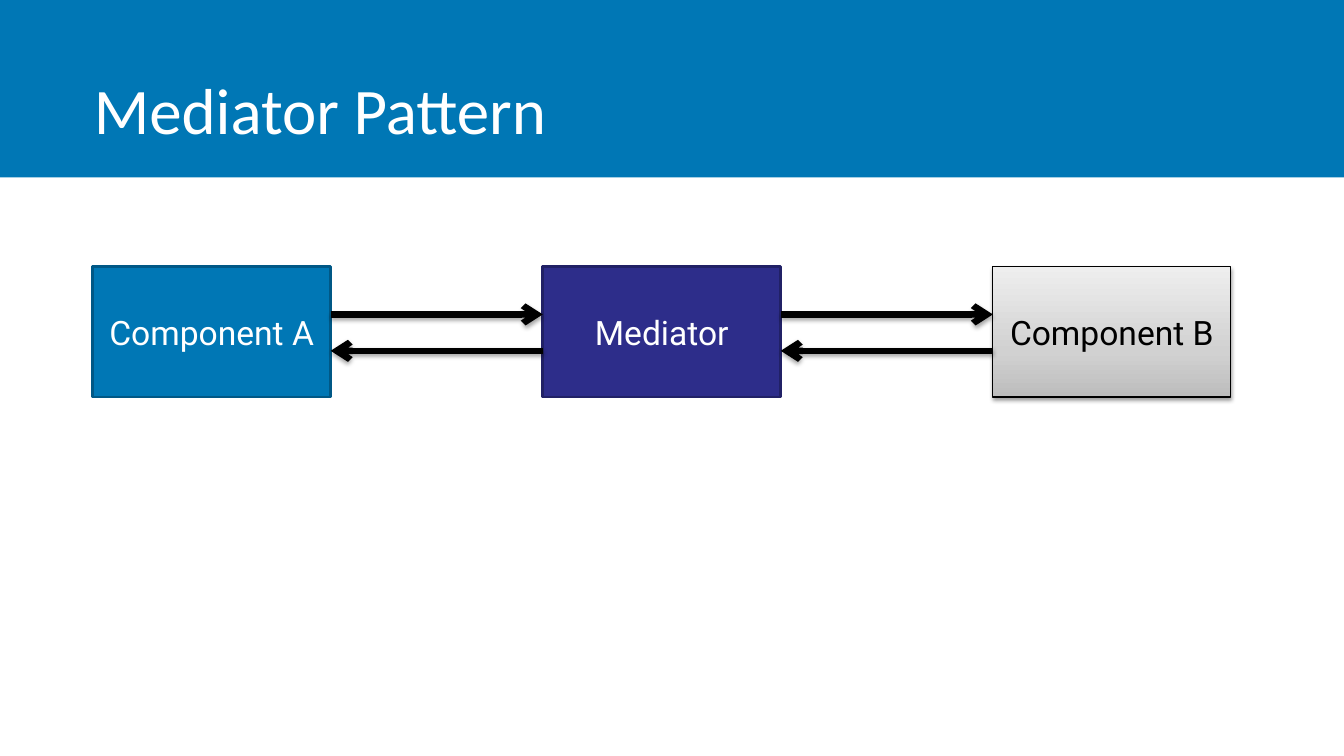
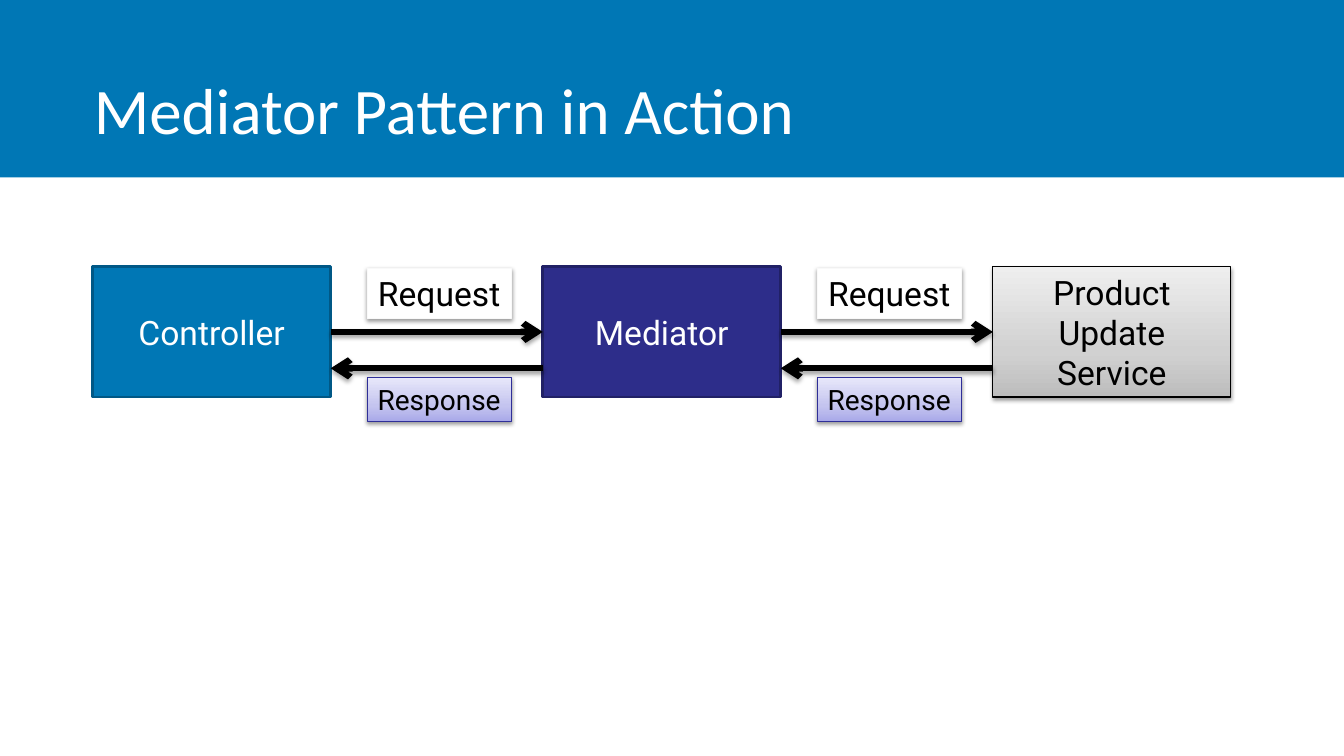
from copy import deepcopy

from lxml import etree
from pptx import Presentation
from pptx import util as u
from pptx.dml import color
from pptx.enum import shapes, text
from pptx.oxml import ns

Pt = u.Pt

SLIDE_WIDTH, SLIDE_HEIGHT = 960, 540
BAND_HEIGHT = 126.7
TITLE_BOX = (67, 38.2, 826, 75.6)
DIAGRAM_LEFT, DIAGRAM_TOP = 66.2, 190.6
BOX_WIDTH, BOX_HEIGHT, BOX_PITCH = 170, 93, 321.5
LABEL_WIDTH, LABEL_INSET = 103, 26
RESPONSE_DROP = 26

BLUE, WHITE, BLACK = "0077B5", "FFFFFF", "000000"
GREY_SHADES = ("BDBDBD", "D1D1D1", "EEEEEE")
LILAC_SHADES = ("A9A9E9", "C4C4EF", "E8E8FA")
SHADE_POSITIONS = (0, 0.35, 1)

BOX_STYLES = [
    dict(fill=BLUE, line="005886", weight=2, font_color=WHITE),
    dict(fill="2D2D8A", line="212166", weight=2, font_color=WHITE),
    dict(fill=GREY_SHADES, line=BLACK, weight=0.75, font_color=BLACK, shadow=True),
]
REQUEST_STYLE = dict(fill=WHITE, line="F9F9F9", weight=0.75, font_color=BLACK, shadow=True)
RESPONSE_STYLE = dict(fill=LILAC_SHADES, line="2F2F98", weight=0.75, font_color=BLACK,
                      size=20, shadow=True)


def rgb(value):
    return color.RGBColor.from_string(value)


def write_text(shape, words, size=24, font="Roboto", font_color=BLACK,
               align=text.PP_ALIGN.CENTER, anchor=text.MSO_ANCHOR.MIDDLE,
               spacing=None, inset=None, wrap=True):
    frame = shape.text_frame
    frame.word_wrap = wrap
    frame.vertical_anchor = anchor
    if inset is not None:
        frame.margin_left = frame.margin_right = Pt(inset)
        frame.margin_top = frame.margin_bottom = Pt(inset)
    paragraph = frame.paragraphs[0]
    paragraph.alignment = align
    paragraph.line_spacing = spacing
    run = paragraph.add_run()
    run.text = words
    run.font.size = Pt(size)
    run.font.name = font
    run.font.color.rgb = rgb(font_color)


def set_effects(shape, shadow, distance=1.6, opacity=38):
    effects = etree.SubElement(shape._element.spPr, ns.qn("a:effectLst"))
    if shadow:
        outer = etree.SubElement(effects, ns.qn("a:outerShdw"), blurRad=str(Pt(3.1)),
                                 dist=str(Pt(distance)), dir="5400000", rotWithShape="0")
        shade = etree.SubElement(outer, ns.qn("a:srgbClr"), val=BLACK)
        etree.SubElement(shade, ns.qn("a:alpha"), val=str(opacity * 1000))


def fill_gradient(shape, shades):
    shape.fill.gradient()
    shape.fill.gradient_angle = 90
    stops = shape._element.spPr.find(ns.qn("a:gradFill")).find(ns.qn("a:gsLst"))
    stops.append(deepcopy(stops[0]))
    for stop, shade, position in zip(shape.fill.gradient_stops, shades, SHADE_POSITIONS):
        stop.color.rgb = rgb(shade)
        stop.position = position


def add_box(slide, left, top, width, height, fill, line=None, weight=0.75, shadow=False):
    shape = slide.shapes.add_shape(shapes.MSO_SHAPE.RECTANGLE,
                                   Pt(left), Pt(top), Pt(width), Pt(height))
    if isinstance(fill, str):
        shape.fill.solid()
        shape.fill.fore_color.rgb = rgb(fill)
    else:
        fill_gradient(shape, fill)
    if line:
        shape.line.color.rgb = rgb(line)
        shape.line.width = Pt(weight)
    else:
        shape.line.fill.background()
    set_effects(shape, shadow)
    return shape


def add_text_box(slide, box, words, style, **text_format):
    style = dict(style)
    font_color, size = style.pop("font_color"), style.pop("size", 24)
    shape = add_box(slide, *box, **style)
    write_text(shape, words, size=size, font_color=font_color, **text_format)
    return shape


def add_arrow(slide, start, end, y):
    arrow = slide.shapes.add_connector(shapes.MSO_CONNECTOR.STRAIGHT,
                                       Pt(start), Pt(y), Pt(end), Pt(y))
    arrow.line.color.rgb = rgb(BLACK)
    arrow.line.width = Pt(4.5)
    etree.SubElement(arrow._element.spPr.find(ns.qn("a:ln")), ns.qn("a:tailEnd"), type="arrow")
    set_effects(arrow, True, distance=1.8, opacity=35)
    return arrow


def add_header(slide, title):
    add_box(slide, 0, 0, SLIDE_WIDTH, BAND_HEIGHT, BLUE)
    title_box = slide.shapes.add_textbox(*map(Pt, TITLE_BOX))
    write_text(title_box, title, size=46.4, font="Calibri", font_color=WHITE,
               align=text.PP_ALIGN.LEFT, anchor=text.MSO_ANCHOR.TOP, spacing=1.2, inset=0)


def add_exchange(slide, source, target, left, top, request_y, labelled):
    right = left + BOX_PITCH - BOX_WIDTH
    request = add_arrow(slide, left, right, top + request_y)
    if request_y == BOX_HEIGHT / 2:
        request.begin_connect(source, 3)
        request.end_connect(target, 1)
    add_arrow(slide, right, left, top + request_y + RESPONSE_DROP)
    if labelled:
        label_left = left + LABEL_INSET
        add_text_box(slide, (label_left, top + 1, LABEL_WIDTH, 36), "Request",
                     REQUEST_STYLE, wrap=False)
        add_text_box(slide, (label_left, top + 78.8, LABEL_WIDTH, 31.5), "Response",
                     RESPONSE_STYLE, wrap=False)


def add_diagram(slide, left, top, names, request_y, labelled):
    boxes = [
        add_text_box(slide, (left + index * BOX_PITCH, top, BOX_WIDTH, BOX_HEIGHT), name, style)
        for index, (name, style) in enumerate(zip(names, BOX_STYLES))
    ]
    for index, (source, target) in enumerate(zip(boxes, boxes[1:])):
        gap_left = left + index * BOX_PITCH + BOX_WIDTH
        add_exchange(slide, source, target, gap_left, top, request_y, labelled)


def add_pattern_slide(presentation, title, names, request_y, labelled=False):
    slide = presentation.slides.add_slide(presentation.slide_layouts[6])
    add_header(slide, title)
    add_diagram(slide, DIAGRAM_LEFT, DIAGRAM_TOP, names, request_y, labelled)


def main():
    presentation = Presentation()
    presentation.slide_width = Pt(SLIDE_WIDTH)
    presentation.slide_height = Pt(SLIDE_HEIGHT)
    add_pattern_slide(presentation, "Mediator Pattern",
                      ("Component A", "Mediator", "Component B"), request_y=34)
    add_pattern_slide(presentation, "Mediator Pattern in Action",
                      ("Controller", "Mediator", "Product Update Service"),
                      request_y=BOX_HEIGHT / 2, labelled=True)
    presentation.save("out.pptx")


if __name__ == "__main__":
    main()
